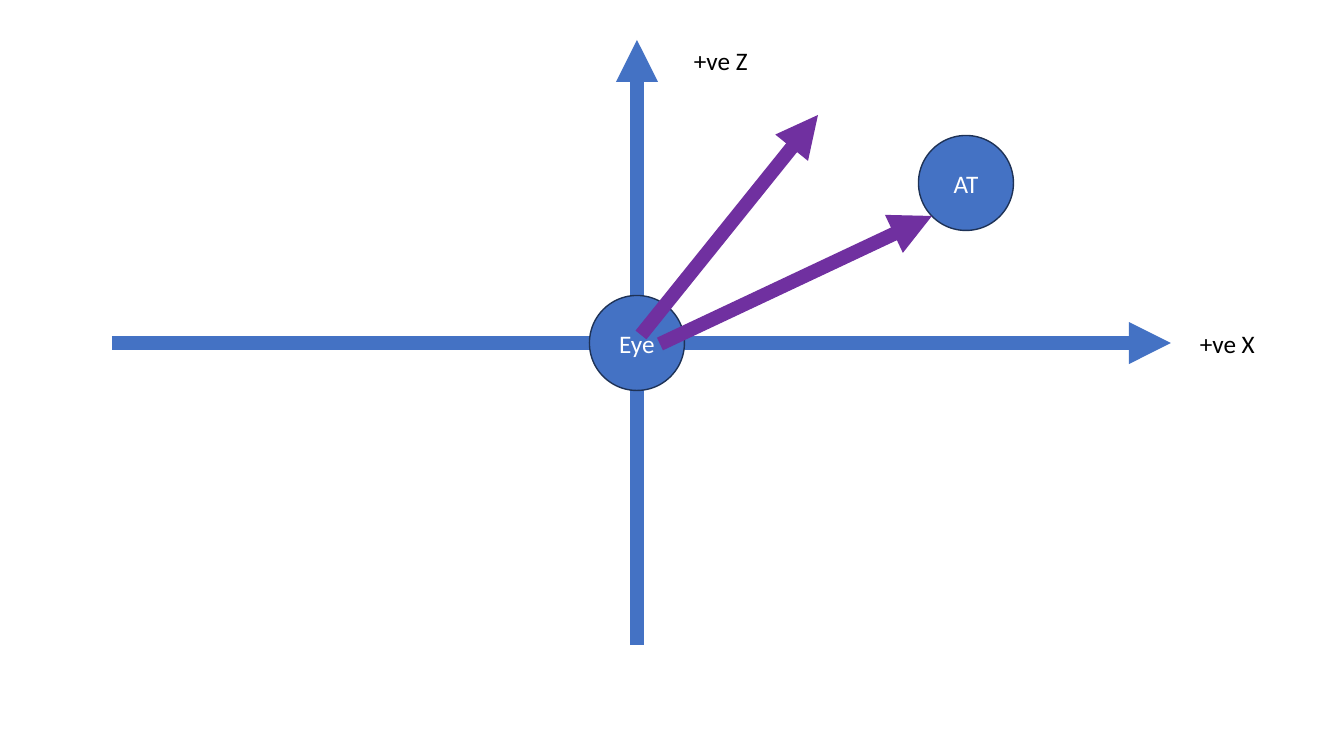
from pptx import Presentation
from pptx.dml.color import RGBColor as RGB
from pptx.enum.shapes import MSO_CONNECTOR as LINK, MSO_SHAPE as SHAPE
from pptx.enum.text import MSO_ANCHOR as ANCHOR, MSO_AUTO_SIZE as FIT, PP_ALIGN as ALIGN
from pptx.oxml.ns import qn
from pptx.util import Emu, Pt
from lxml.etree import SubElement as Sub

HUES = {"axis": "4472C4", "edge": "1E3256", "view": "7030A0",
        "ink": "000000", "pale": "FFFFFF"}
FONT = "Calibri"
BALL = 95  # diameter of a point marker


def px(n):
    return Emu(round(n * 914400 / 100.8))


def hue(name):
    return RGB.from_string(HUES[name])


def write(shape, text, color="ink", size=18, align=ALIGN.LEFT, anchor=ANCHOR.TOP):
    frame = shape.text_frame
    frame.word_wrap = True
    frame.vertical_anchor = anchor
    para = frame.paragraphs[0]
    para.alignment = align
    run = para.add_run()
    run.text = text
    run.font.name = FONT
    run.font.size = Pt(size)
    run.font.color.rgb = hue(color)


def arrow(slide, start, end, color):
    line = slide.shapes.add_connector(LINK.STRAIGHT, *map(px, (*start, *end)))
    line.line.color.rgb = hue(color)
    line.line.width = Pt(10)
    Sub(line.line._get_or_add_ln(), qn("a:tailEnd"), type="triangle")
    Sub(line._element.spPr, qn("a:effectLst"))


def label(slide, x, y, text):
    box = slide.shapes.add_textbox(*map(px, (x, y, 120, 40)))
    write(box, text)
    box.text_frame.auto_size = FIT.SHAPE_TO_FIT_TEXT


def ball(slide, x, y, text):
    """Draw a named point centred on x, y."""
    dot = slide.shapes.add_shape(
        SHAPE.OVAL, *map(px, (x - BALL / 2, y - BALL / 2, BALL, BALL)))
    dot.shadow.inherit = False
    dot.fill.solid()
    dot.fill.fore_color.rgb = hue("axis")
    dot.line.color.rgb = hue("edge")
    dot.line.width = Pt(1)
    write(dot, text, color="pale", align=ALIGN.CENTER, anchor=ANCHOR.MIDDLE)


def axes(slide, left, top, width, height, eye):
    """Draw the X and Z axes across the box, crossing at the eye."""
    x, y = eye
    arrow(slide, (left, y), (left + width, y), "axis")
    arrow(slide, (x, top + height), (x, top), "axis")
    label(slide, x + 47, top, "+ve Z")
    label(slide, left + width + 19, y - 20, "+ve X")


def views(slide, eye):
    """Draw the eye, its target and the two view directions."""
    x, y = eye
    ball(slide, x, y, "Eye")
    ball(slide, x + 329, y - 160, "AT")
    arrow(slide, (x + 23, y + 1), (x + 295, y - 127), "view")
    arrow(slide, (x + 4, y - 8), (x + 181, y - 228), "view")


deck = Presentation()
deck.slide_width, deck.slide_height = px(1344), px(756)
page = deck.slides.add_slide(deck.slide_layouts[6])
eye = (637, 343)
axes(page, 112, 40, 1059, 605, eye)
views(page, eye)
deck.save("out.pptx")
